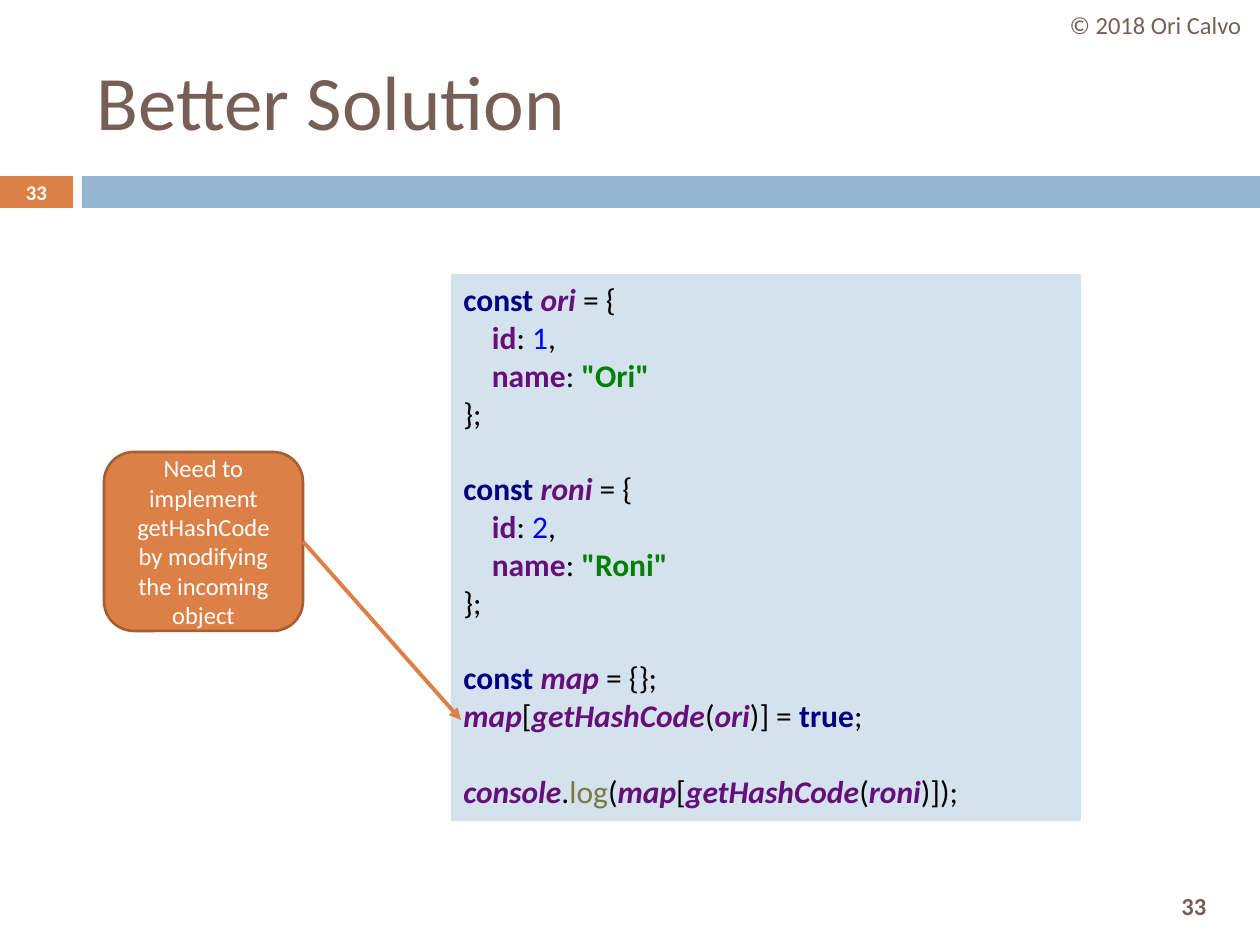
"""Build the "Better Solution" slide with its annotated code sample."""
from lxml import etree
from pptx import Presentation
from pptx.dml.color import RGBColor
from pptx.enum.shapes import MSO_CONNECTOR, MSO_SHAPE
from pptx.enum.text import MSO_ANCHOR, PP_ALIGN
from pptx.oxml.ns import qn
from pptx.util import Emu, Pt

RECTANGLE, ROUNDED = MSO_SHAPE.RECTANGLE, MSO_SHAPE.ROUNDED_RECTANGLE
STRAIGHT = MSO_CONNECTOR.STRAIGHT
LEFT, CENTER = PP_ALIGN.LEFT, PP_ALIGN.CENTER
MIDDLE, TOP = MSO_ANCHOR.MIDDLE, MSO_ANCHOR.TOP
PX = 914400 / 126
FONT = "Calibri"
BROWN, ORANGE, BLUE, WHITE = "775F55", "DD8047", "94B6D2", "FFFFFF"

STYLES = {
    "plain": ("000000", False, False),
    "keyword": ("000080", True, False),
    "variable": ("660E7A", True, True),
    "property": ("660E7A", True, False),
    "number": ("0000FF", False, False),
    "string": ("008000", True, False),
    "method": ("7A7A43", False, False),
}


def color(value):
    return RGBColor.from_string(value)


def place(shape, left, top, width, height):
    shape.left, shape.top = Emu(round(left * PX)), Emu(round(top * PX))
    shape.width, shape.height = Emu(round(width * PX)), Emu(round(height * PX))


deck = Presentation()
deck.slide_width, deck.slide_height = Emu(round(1260 * PX)), Emu(round(945 * PX))
page = deck.slides.add_slide(deck.slide_layouts[5])

panels = []
for kind, fill, bounds in [
    (RECTANGLE, ORANGE, (0, 176, 73, 32)),
    (RECTANGLE, BLUE, (82, 176, 1178, 32)),
    (RECTANGLE, "D4E2ED", (451, 274, 630, 547)),
    (ROUNDED, ORANGE, (104, 452, 199, 179)),
]:
    panel = page.shapes.add_shape(kind, 0, 0, 0, 0)
    place(panel, *bounds)
    panel.shadow.inherit = False
    panel.fill.solid()
    panel.fill.fore_color.rgb = color(fill)
    panel.line.fill.background()
    panels.append(panel)
code_panel, callout = panels[2:]
callout.line.color.rgb = color("A35F35")
callout.line.width = Pt(1.5)

title = page.shapes.title
place(title, 84, 32, 1124, 136)
labels = [
    (title, "Better Solution", 44, BROWN, False, LEFT),
    (callout, "Need to implement getHashCode by modifying the incoming object",
     14, WHITE, False, CENTER),
]
for text, size, ink, bold, bounds in [
    ("33", 14, BROWN, True, (1136, 879, 116, 53)),
    ("© 2018 Ori Calvo", 14, BROWN, False, (1051, 0, 209, 50)),
    ("33", 11.9, WHITE, True, (0, 175, 73, 34)),
]:
    box = page.shapes.add_textbox(0, 0, 0, 0)
    place(box, *bounds)
    labels.append((box, text, size, ink, bold, CENTER))

for box, text, size, ink, bold, align in labels:
    frame = box.text_frame
    frame.word_wrap = True
    frame.vertical_anchor = MIDDLE
    frame.text = text
    para = frame.paragraphs[0]
    para.alignment = align
    para.font.name, para.font.size, para.font.bold = FONT, Pt(size), bold
    para.font.color.rgb = color(ink)

code_lines = []
for variable, number, label in [("ori ", "1", '"Ori"'), ("roni ", "2", '"Roni"')]:
    code_lines += [
        [("keyword", "const "), ("variable", variable), ("plain", "= {")],
        [("property", "    id"), ("plain", ": "), ("number", number), ("plain", ",")],
        [("property", "    name"), ("plain", ": "), ("string", label)],
        [("plain", "};")],
        [],
    ]
code_lines += [
    [("keyword", "const "), ("variable", "map "), ("plain", "= {};")],
    [("variable", "map"), ("plain", "["), ("variable", "getHashCode"), ("plain", "("),
     ("variable", "ori"), ("plain", ")] = "), ("keyword", "true"), ("plain", ";")],
    [],
    [("variable", "console"), ("plain", "."), ("method", "log"), ("plain", "("),
     ("variable", "map"), ("plain", "["), ("variable", "getHashCode"), ("plain", "("),
     ("variable", "roni"), ("plain", ")]);")],
]

frame = code_panel.text_frame
frame.word_wrap = True
frame.vertical_anchor = TOP
para = frame.paragraphs[0]
para.alignment = LEFT
para.font.name, para.font.size = FONT, Pt(18)
for index, line in enumerate(code_lines):
    if index:
        para.add_line_break()
    for style, text in line:
        span = para.add_run()
        span.text = text
        ink, span.font.bold, span.font.italic = STYLES[style]
        span.font.color.rgb = color(ink)

arrow = page.shapes.add_connector(STRAIGHT, 0, 0, round(461 * PX), round(720 * PX))
arrow.begin_connect(callout, 3)
arrow.line.color.rgb = color(ORANGE)
arrow.line.width = Pt(2.25)
etree.SubElement(arrow.line._get_or_add_ln(), qn("a:tailEnd"), type="triangle")
etree.SubElement(arrow._element.spPr, qn("a:effectLst"))

deck.save("out.pptx")
